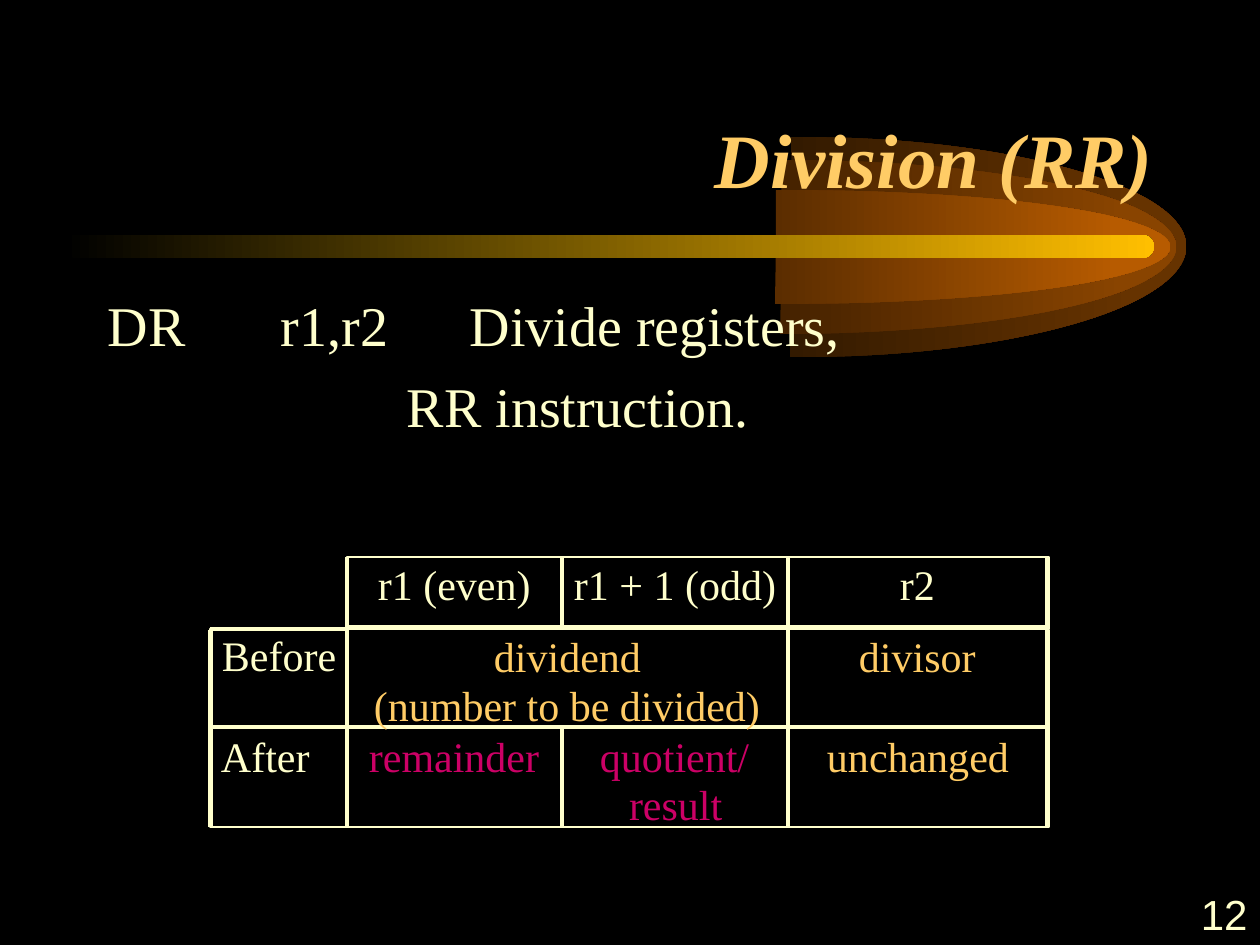
from lxml import etree
from pptx import Presentation
from pptx import util as u
from pptx.dml.color import RGBColor
from pptx.enum import shapes, text
from pptx.oxml.ns import qn

PX = 914400 // 126
SERIF, SANS = "Times New Roman", "Arial"
CREAM, GOLD, PINK, BLACK = "FFFFCC", "FFCC66", "CC0066", "000000"

TITLE = "Division (RR)"
BODY = ["DR \t\tr1,r2\t\tDivide registers,", "\t\t\t\t\tRR instruction."]
PAGE = "12"

# Curved fins: left colour, right colour, start point, Bezier segments, inner point
FINS = [
    ("331A00", "663300", (791, 137),
     [((932, 136), (1063, 158), (1134, 192)),
      ((1205, 226), (1203, 268), (1133, 302)),
      ((1063, 336), (931, 358), (790, 357))], (793, 247)),
    ("452200", "894400", (781, 160),
     [((924, 160), (1053, 176), (1124, 203)),
      ((1194, 231), (1194, 263), (1123, 291)),
      ((1052, 318), (921, 334), (780, 334))], (782, 247)),
    ("5B2D00", "B75B00", (776, 190),
     [((917, 190), (1047, 200), (1118, 218)),
      ((1188, 236), (1188, 258), (1118, 276)),
      ((1047, 294), (916, 304), (775, 304))], (776, 247)),
]

# Register grid: labels as (text, colour, left, top, width)
LABELS = [
    ("r1 (even)", CREAM, 378, 559, 153), ("r1 + 1 (odd)", CREAM, 574, 559, 203),
    ("r2", CREAM, 900, 559, 35),
    ("Before", CREAM, 222, 630, 115), ("dividend", GOLD, 494, 631, 147),
    ("(number to be divided)", GOLD, 374, 680, 386),
    ("divisor", GOLD, 859, 631, 117),
    ("After", CREAM, 221, 731, 88), ("remainder", PINK, 369, 731, 170),
    ("quotient/", PINK, 600, 731, 150), ("result", PINK, 629, 779, 93),
    ("unchanged", GOLD, 827, 731, 181),
]
# Upright bars (left, width); bands (top, bottom, bars that cross them);
# level rules (top, thickness, first bar, last bar)
BARS = [(210, 2), (347, 1), (562, 1), (788, 1), (1047, 2)]
BANDS = [(557, 627, (1, 2, 3, 4)), (630, 728, (0, 1, 3, 4)),
         (728, 827, (0, 1, 2, 3, 4))]
RULES = [(629, 1, 0, 1), (627, 2, 1, 4), (727, 1, 0, 4)]
FOOT = 827


def px(*values):
    return [v * PX for v in values]


def rgb(value):
    return RGBColor.from_string(value)


def style(p, size, color, font=SERIF, align=text.PP_ALIGN.LEFT):
    p.font.size, p.font.name = u.Pt(size), font
    p.font.color.rgb = rgb(color)
    p.alignment = align


def fade(sp, left, right):
    sp.shadow.inherit = False
    sp.line.fill.background()
    sp.fill.gradient()
    sp.fill.gradient_angle = 0
    for stop, color in zip(sp.fill.gradient_stops, (left, right)):
        stop.color.rgb = rgb(color)


def add_fin(start, segments, inner):
    """Outline the fin by its corners, then bend the long sides."""
    ends = [seg[-1] for seg in segments]
    right = max(x for seg in segments for x, y in seg)
    builder = slide.shapes.build_freeform(*start, scale=PX)
    builder.add_line_segments(ends + [inner], close=True)
    sp = builder.convert_to_shape()
    x0, y0 = min(x for x, y in [start, inner] + ends), start[1]
    for side, seg in zip(list(sp.element.iter(qn("a:lnTo"))), segments):
        curve = etree.Element(qn("a:cubicBezTo"))
        for x, y in seg:
            etree.SubElement(curve, qn("a:pt"), x=str(x - x0), y=str(y - y0))
        side.getparent().replace(side, curve)
    return sp


def add_bar(left, top, width, height):
    sp = slide.shapes.add_shape(shapes.MSO_SHAPE.RECTANGLE,
                                *px(left, top, width, height))
    sp.shadow.inherit = False
    sp.fill.background()
    sp.line.color.rgb = rgb(CREAM)
    sp.line.width = u.Pt(0.75)


def add_line(x1, y1, x2, y2, width=0):
    line = slide.shapes.add_connector(shapes.MSO_CONNECTOR.STRAIGHT,
                                      *px(x1, y1, x2, y2))
    line.line.color.rgb = rgb(CREAM)
    line.line.width = u.Pt(width)
    etree.SubElement(line.element.spPr, qn("a:effectLst"))


def add_text(words, box, size, color, font, align, anchor, wrap):
    tf = slide.shapes.add_textbox(*px(*box)).text_frame
    tf.word_wrap = wrap
    tf.auto_size = text.MSO_AUTO_SIZE.NONE
    tf.vertical_anchor = anchor
    tf.text = words
    style(tf.paragraphs[0], size, color, font, align)
    return tf


prs = Presentation()
prs.slide_width, prs.slide_height = u.Inches(10), u.Inches(7.5)
slide = prs.slides.add_slide(prs.slide_layouts[1])
slide.background.fill.solid()
slide.background.fill.fore_color.rgb = rgb(BLACK)

# Comet: fins and glowing bar
for left, right, *outline in FINS:
    fade(add_fin(*outline), left, right)
glow = slide.shapes.add_shape(shapes.MSO_SHAPE.ROUNDED_RECTANGLE,
                              *px(63, 235, 1091, 23))
glow.adjustments[0] = 0.5
fade(glow, BLACK, "FFBF00")

# Title and body, brought in front of the comet
title, body = slide.placeholders
for sp, box in ((title, (95, 53, 1071, 157)), (body, (95, 284, 1071, 252))):
    sp.element.getparent().append(sp.element)
    sp.left, sp.top, sp.width, sp.height = px(*box)
    sp.text_frame.auto_size = text.MSO_AUTO_SIZE.NONE

title.text_frame.text = TITLE
title.text_frame.vertical_anchor = text.MSO_ANCHOR.BOTTOM
p = title.text_frame.paragraphs[0]
style(p, 44, GOLD, align=text.PP_ALIGN.RIGHT)
p.font.bold = p.font.italic = True

body.text_frame.text = "\n".join(BODY)
for p in body.text_frame.paragraphs:
    style(p, 32, CREAM)
    p.space_before = u.Pt(8)
    p_pr = p._p.get_or_add_pPr()
    p_pr.set("marL", str(u.Inches(0.375)))
    p_pr.set("indent", str(-u.Inches(0.375)))
    bullet = etree.Element(qn("a:buNone"))
    tabs = etree.Element(qn("a:tabLst"))
    for inch in range(8):
        etree.SubElement(tabs, qn("a:tab"), pos=str(u.Inches(inch)), algn="l")
    p_pr.find(qn("a:spcBef")).addnext(bullet)
    bullet.addnext(tabs)

# Register grid: header cells
for (left, width), (right, _) in zip(BARS[1:], BARS[2:]):
    top, bottom, _ = BANDS[0]
    add_bar(left + width, top, right - left - width, bottom - top)

# Upright bars, each with a hairline on its left edge
for top, bottom, crossing in BANDS:
    for left, width in (BARS[i] for i in crossing):
        add_bar(left, top, width, bottom - top)
        add_line(left, top, left, bottom)

# Level rules: a joint at each bar and a stretch up to the next
for top, thick, first, last in RULES:
    for i in range(first, last + 1):
        left, width = BARS[i]
        if (top, i) != (629, 1):
            add_bar(left, top, width, thick)
            add_line(left, top, left + width, top)
        if 0 < i and first + 1 < last:
            add_line(left, top, left, top + thick)
        if i < last:
            start, end = left + width, BARS[i + 1][0]
            add_bar(start, top, end - start, thick)
            add_line(start, top, end, top)
add_line(BARS[0][0], FOOT, sum(BARS[-1]), FOOT, 1)

# Cell labels
for words, color, left, top, width in LABELS:
    tf = add_text(words, (left, top, width, 50), 24, color, SERIF,
                  text.PP_ALIGN.LEFT, text.MSO_ANCHOR.BOTTOM, False)
    tf.margin_left = tf.margin_right = tf.margin_top = tf.margin_bottom = 0

# Slide number
add_text(PAGE, (998, 882, 262, 63), 24, CREAM, SANS,
         text.PP_ALIGN.RIGHT, text.MSO_ANCHOR.MIDDLE, True)

prs.save("out.pptx")
